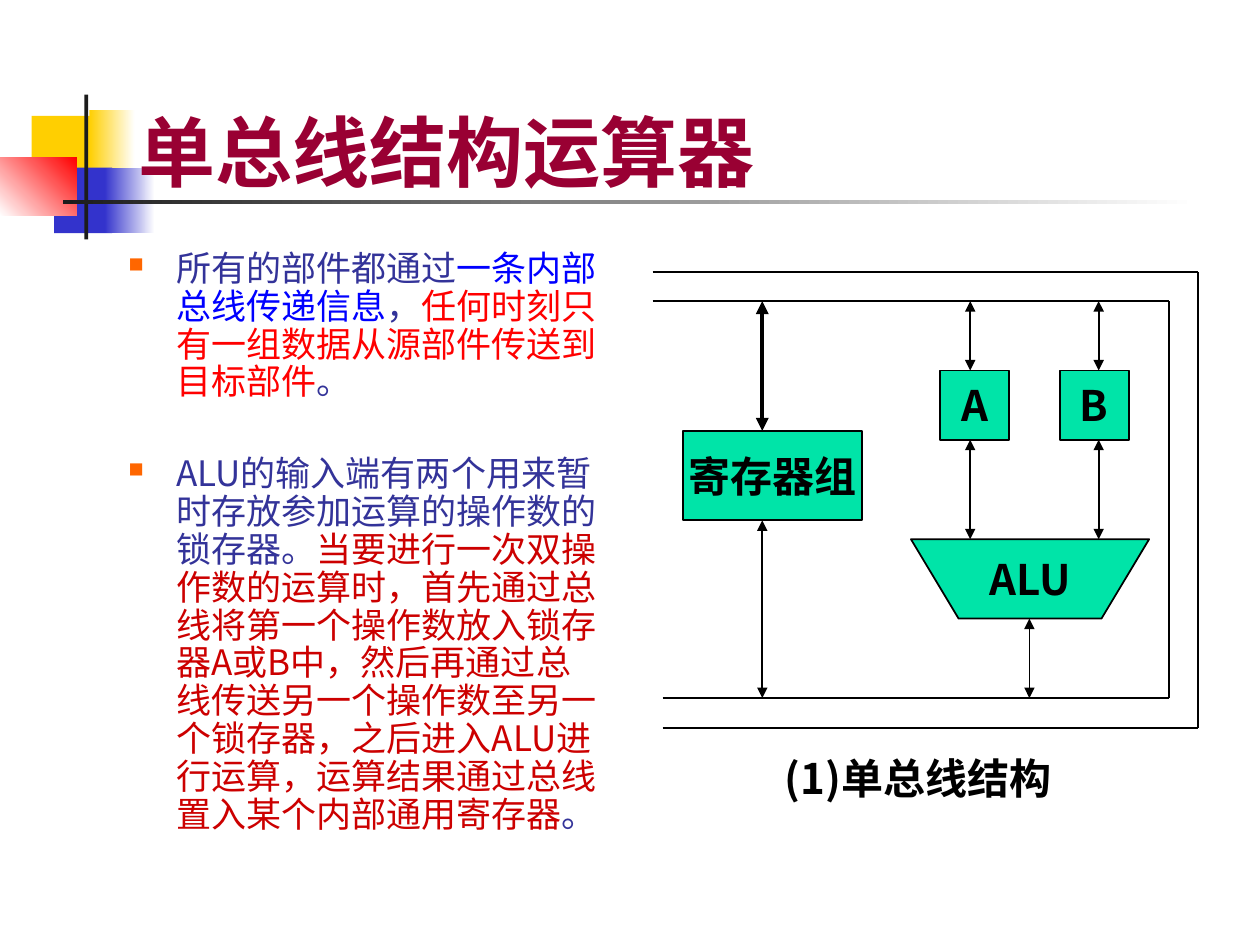
from dataclasses import dataclass

from lxml import etree
from pptx import Presentation
from pptx.dml.color import RGBColor
from pptx.enum.shapes import MSO_CONNECTOR, MSO_SHAPE
from pptx.enum.text import MSO_ANCHOR, PP_ALIGN
from pptx.oxml.ns import qn
from pptx.util import Inches, Pt

RECT = MSO_SHAPE.RECTANGLE
TRAP = MSO_SHAPE.FLOWCHART_MANUAL_OPERATION
LINE = MSO_CONNECTOR.STRAIGHT
CENTER = PP_ALIGN.CENTER
LEFT = PP_ALIGN.LEFT
MIDDLE = MSO_ANCHOR.MIDDLE
BOTTOM = MSO_ANCHOR.BOTTOM
SANS = "Noto Sans CJK SC"
BLACK, WHITE, GREEN = "000000", "FFFFFF", "00E4A8"
YELLOW, BLUE, RED, DARK = "FFCF01", "3333CC", "FF0000", "1C1C1C"
NAVY = "333399"


@dataclass
class Block:
    x: float
    y: float
    w: float
    h: float
    start: str
    end: str = ""
    angle: int = 0


@dataclass
class Part:
    text: str
    x: float
    y: float
    w: float
    h: float
    kind: int = RECT


@dataclass
class Arrow:
    x: float
    top: float
    base: float
    width: float = 1


BLOCKS = [
    Block(0.25, 0.92, 0.48, 0.52, YELLOW),
    Block(0.71, 0.87, 0.36, 0.52, YELLOW, WHITE),
    Block(0.43, 1.33, 0.46, 0.52, BLUE),
    Block(0.83, 1.33, 0.4, 0.52, BLUE, WHITE),
    Block(0, 1.25, 0.61, 0.46, WHITE, RED, 45),
    Block(0.67, 0.75, 0.03, 1.15, DARK),
    Block(0.5, 1.59, 9, 0.03, DARK, WHITE),
]
PARTS = [
    Part("寄存器组", 5.42, 3.42, 1.42, 0.71),
    Part("A", 7.46, 2.94, 0.55, 0.55),
    Part("B", 8.41, 2.94, 0.55, 0.55),
    Part("ALU", 7.23, 4.28, 1.89, 0.63, TRAP),
]
RAILS = [(9.28, 2.39, 5.54), (9.51, 2.16, 5.78)]
ARROWS = [
    *(Arrow(x, top, base) for x in (7.7, 8.72)
      for top, base in ((2.39, 2.94), (3.49, 4.28))),
    Arrow(8.17, 4.91, 5.54),
    Arrow(6.05, 2.39, 3.42, 2.5),
    Arrow(6.05, 4.13, 5.54),
]
NOTES = [
    [("所有的部件都通过", NAVY),
     ("一条内部总线传递信息", "0000FF"),
     ("，", NAVY),
     ("任何时刻只有一组数据从源部件传送到目标部件", RED),
     ("。", NAVY)],
    [("ALU的输入端有两个用来暂时存放参加运算的操作数的锁存器。", NAVY),
     ("当要进行一次双操作数的运算时，首先通过总线将第一个操作数放入锁存器A或B中，"
      "然后再通过总线传送另一个操作数至另一个锁存器，之后进入ALU进行运算，"
      "运算结果通过总线置入某个内部通用寄存器", "CC0000"),
     ("。", NAVY)],
]


def tint(code: str) -> RGBColor:
    return RGBColor.from_string(code)


def add(node, tag: str, **attrs: str):
    return etree.SubElement(node, qn(tag), attrs)


def style(para, size: float, color: str = "", bold: bool = False,
          face: str = SANS) -> None:
    font = para.font
    font.size, font.bold, font.name = Pt(size), bold, face
    if color:
        font.color.rgb = tint(color)
    add(font._element, "a:ea", typeface=SANS)


def label(frame, text: str, align: int) -> None:
    para = frame.paragraphs[0]
    para.text, para.alignment = text, align
    style(para, 24, BLACK, True)


def draw_block(shapes, item: Block) -> None:
    shape = shapes.add_shape(RECT, Inches(item.x), Inches(item.y),
                             Inches(item.w), Inches(item.h))
    shape.shadow.inherit = False
    shape.line.fill.background()
    fill = shape.fill
    if item.end:
        fill.gradient()
        fill.gradient_angle = item.angle
        for stop, code in zip(fill.gradient_stops, (item.start, item.end)):
            stop.color.rgb = tint(code)
    else:
        fill.solid()
        fill.fore_color.rgb = tint(item.start)


def draw_part(shapes, item: Part) -> None:
    shape = shapes.add_shape(item.kind, Inches(item.x), Inches(item.y),
                             Inches(item.w), Inches(item.h))
    shape.shadow.inherit = False
    shape.fill.solid()
    shape.fill.fore_color.rgb = tint(GREEN)
    shape.line.color.rgb = tint(BLACK)
    shape.line.width = Pt(1)
    frame = shape.text_frame
    frame.word_wrap = False
    frame.vertical_anchor = MIDDLE
    label(frame, item.text, CENTER)


def draw_line(shapes, x1: float, y1: float, x2: float, y2: float,
              width: float = 1, heads: bool = False) -> None:
    wire = shapes.add_connector(LINE, Inches(x1), Inches(y1),
                                Inches(x2), Inches(y2))
    wire.line.color.rgb = tint(BLACK)
    wire.line.width = Pt(width)
    if heads:
        for tag in ("a:headEnd", "a:tailEnd"):
            add(wire.line._get_or_add_ln(), tag, type="triangle")
    add(wire._element.spPr, "a:effectLst")


def draw_notes(shapes) -> None:
    box = shapes.add_textbox(Inches(0.92), Inches(1.94),
                             Inches(3.93), Inches(5.23))
    frame = box.text_frame
    frame.word_wrap = True
    for i, runs in enumerate(NOTES):
        para = frame.add_paragraph() if i else frame.paragraphs[0]
        props = para._p.get_or_add_pPr()
        props.set("marL", str(Inches(0.38)))
        props.set("indent", str(-Inches(0.38)))
        add(add(props, "a:buClr"), "a:srgbClr", val="FF6600")
        add(props, "a:buSzPct", val="60000")
        add(props, "a:buChar", char="■")
        para.line_spacing = Pt(21.6)
        if i:
            para.space_before = Pt(31)
        style(para, 20)
        for text, color in runs:
            run = para.add_run()
            run.text = text
            run.font.color.rgb = tint(color)


def main() -> None:
    deck = Presentation()
    deck.slide_width, deck.slide_height = Inches(10), Inches(7.5)
    slide = deck.slides.add_slide(deck.slide_layouts[5])
    shapes = slide.shapes
    for block in BLOCKS:
        draw_block(shapes, block)
    title = shapes.title
    shapes._spTree.append(title._element)
    title.left, title.top = Inches(1), Inches(0.5)
    title.width, title.height = Inches(8.52), Inches(1.11)
    title.text_frame.vertical_anchor = BOTTOM
    head = title.text_frame.paragraphs[0]
    head.text, head.alignment = "单总线结构运算器", LEFT
    style(head, 44, "990033", True, "Cabin")
    for part in PARTS:
        draw_part(shapes, part)
    for x, top, base in RAILS:
        draw_line(shapes, 5.18, top, x, top)
        draw_line(shapes, x, top, x, base)
        draw_line(shapes, 5.26, base, x, base)
    for item in ARROWS:
        draw_line(shapes, item.x, item.top, item.x, item.base, item.width, True)
    sign = shapes.add_textbox(Inches(6.13), Inches(5.92),
                              Inches(2.83), Inches(0.5))
    sign.text_frame.word_wrap = True
    label(sign.text_frame, "(1)单总线结构", LEFT)
    draw_notes(shapes)
    deck.save("out.pptx")


if __name__ == "__main__":
    main()
